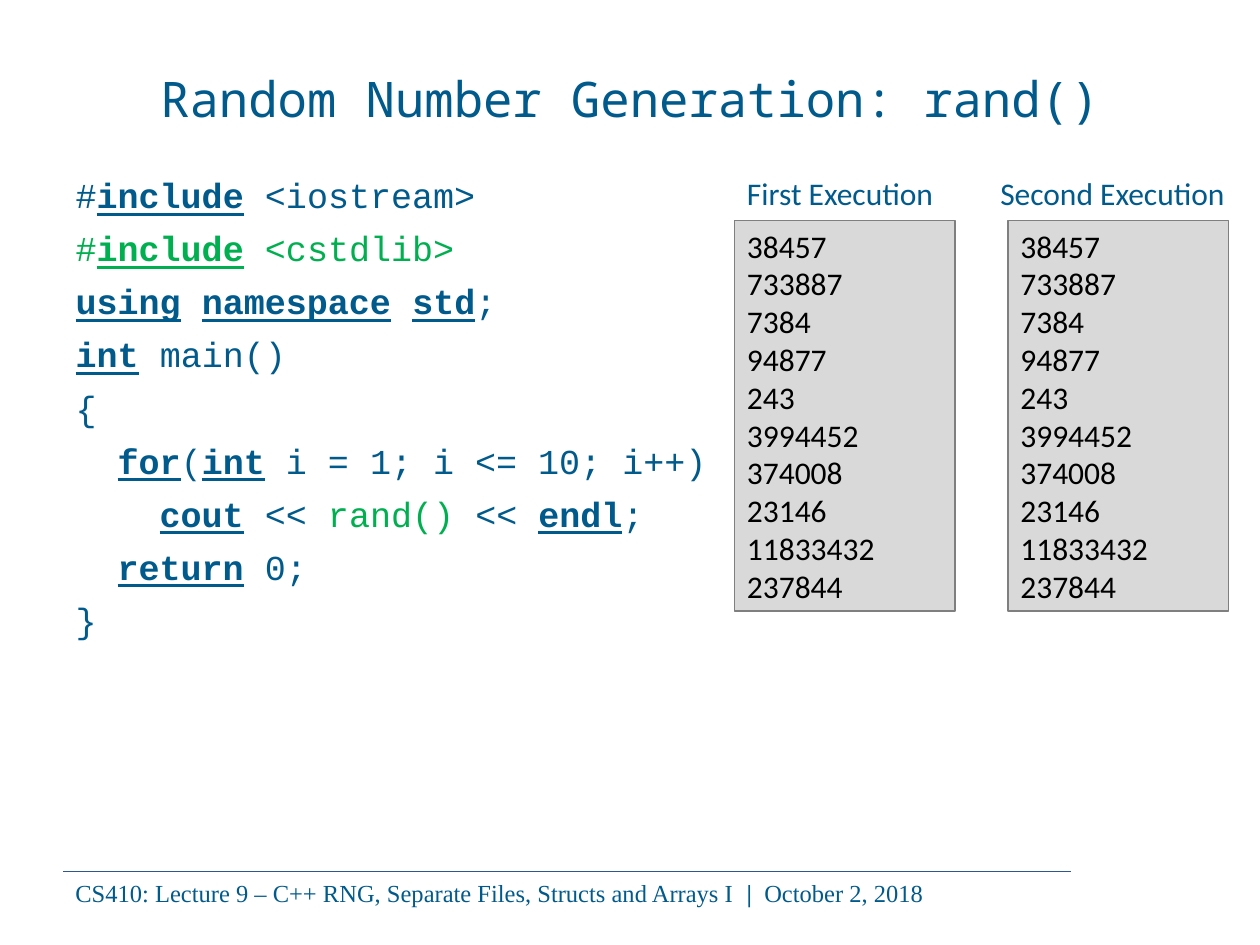
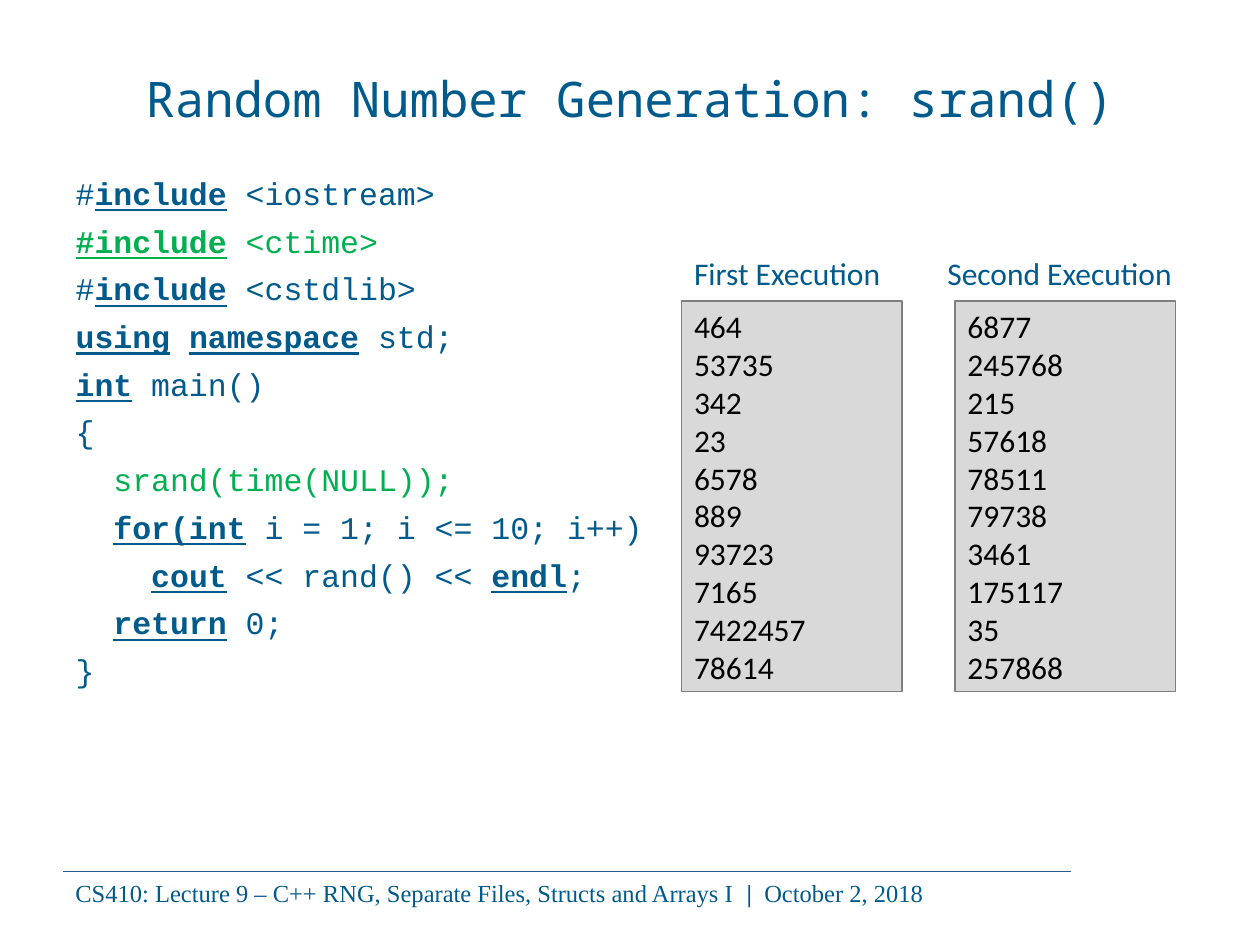
from lxml.etree import SubElement
from pptx import Presentation
from pptx.dml.color import RGBColor
from pptx.enum.shapes import MSO_CONNECTOR as Connector, MSO_SHAPE as Shape
from pptx.enum.text import MSO_ANCHOR as Anchor, MSO_AUTO_SIZE as AutoSize, PP_ALIGN as Align
from pptx.oxml.ns import qn
from pptx.util import Inches, Pt

BLUE, GREEN, BLACK = "005A8B", "00B050", "000000"
RULE_BLUE, PANEL_GREY, BORDER_GREY = "2D588D", "D9D9D9", "7F7F7F"
TITLE_FONT, CODE_FONT = "Noto Sans Mono", "Courier New"
FOOTER_FONT, OUTPUT_FONT = "Times New Roman", "Calibri"
PANEL_PITCH = 2.17
HANGING = Inches(0.38)

# In code, *...* marks keywords and ~...~ marks newly introduced parts.
RAND_CODE = """\
#*include* <iostream>
~#*include* <cstdlib>~
*using* *namespace* *std*;
*int* main()
{
  *for*(*int* i = 1; i <= 10; i++)
    *cout* << ~rand()~ << *endl*;
  *return* 0;
}"""
SRAND_CODE = """\
#*include* <iostream>
~*#include* <ctime>~
#*include* <cstdlib>
*using* *namespace* std;
*int* main()
{
  ~srand(time(NULL));~
  *for(int* i = 1; i <= 10; i++)
    *cout* << rand() << *endl*;
  *return* 0;
}"""
SAME_NUMBERS = "38457 733887 7384 94877 243 3994452 374008 23146 11833432 237844"
FIRST_NUMBERS = "464 53735 342 23 6578 889 93723 7165 7422457 78614"
SECOND_NUMBERS = "6877 245768 215 57618 78511 79738 3461 175117 35 257868"


def color(hex_text):
    return RGBColor.from_string(hex_text)


def add_text(para, text, font=OUTPUT_FONT, size=18, fill=BLUE, bold=False, underline=False):
    """Append text to a paragraph, with a line break at each newline."""
    for number, line in enumerate(text.split("\n")):
        if number:
            para.add_line_break()
        span = para.add_run()
        span.text = line
        span.font.name = font
        span.font.size = Pt(size)
        span.font.bold = bold
        span.font.underline = underline
        span.font.color.rgb = color(fill)


def place(box, left, top, width, height):
    box.left, box.top = Inches(left), Inches(top)
    box.width, box.height = Inches(width), Inches(height)


def marked_spans(line):
    """Yield the text, colour and keyword flag of each part of a code line."""
    keyword = False
    for part_number, part in enumerate(line.split("~")):
        fill = GREEN if part_number % 2 else BLUE
        for piece_number, piece in enumerate(part.split("*")):
            keyword = piece_number % 2 == 1
            if piece:
                yield piece, fill, keyword


class LectureDeck:
    def __init__(self):
        self.deck = Presentation()
        self.deck.slide_width, self.deck.slide_height = Inches(10), Inches(7.5)
        self.page = None

    def add_page(self, title):
        self.page = self.deck.slides.add_slide(self.deck.slide_layouts[1])
        self.add_footer()
        box = self.page.shapes.title
        place(box, 0.5, 0.3, 9, 0.95)
        frame = box.text_frame
        frame.auto_size = AutoSize.NONE
        frame.vertical_anchor = Anchor.MIDDLE
        para = frame.paragraphs[0]
        para.alignment = Align.CENTER
        add_text(para, title, font=TITLE_FONT, size=28)

    def add_footer(self):
        rule = self.page.shapes.add_connector(
            Connector.STRAIGHT, Inches(0.5), Inches(6.92), Inches(8.5), Inches(6.92))
        rule.line.color.rgb = color(RULE_BLUE)
        rule.line.width = Pt(0.5)
        SubElement(rule.element.spPr, qn("a:effectLst"))
        para = self.add_label(0.5, 6.92, 8.17, 0.34, wrap=True)
        style = {"font": FOOTER_FONT, "size": 14}
        add_text(para, "CS410: Lecture 9 – C++ RNG, Separate Files, Structs and Arrays I  ", **style)
        add_text(para, "|  ", bold=True, **style)
        add_text(para, "October 2, 2018", **style)

    def add_label(self, left, top, width, height, wrap=False):
        """Add a text box and return its empty paragraph."""
        box = self.page.shapes.add_textbox(
            Inches(left), Inches(top), Inches(width), Inches(height))
        box.text_frame.word_wrap = wrap
        box.text_frame.auto_size = AutoSize.SHAPE_TO_FIT_TEXT
        return box.text_frame.paragraphs[0]

    def add_code(self, code, size, height):
        box = self.page.placeholders[1]
        place(box, 0.5, 1.33, 8.58, height)
        frame = box.text_frame
        frame.auto_size = AutoSize.NONE
        lines = code.split("\n")
        for number, line in enumerate(lines):
            para = frame.add_paragraph() if number else frame.paragraphs[0]
            para.space_before = Pt(size * 0.315)
            for text, fill, keyword in marked_spans(line.lstrip()):
                add_text(para, text, font=CODE_FONT, size=size, fill=fill,
                         bold=keyword, underline=keyword)
        character_width = Pt(size * 0.6)
        for line, properties in zip(lines, box.element.iter(qn("a:pPr"))):
            depth = len(line) - len(line.lstrip())
            properties.set("marL", str(HANGING + depth * character_width))
            properties.set("indent", str(-HANGING))
            SubElement(properties, qn("a:buNone"))

    def add_output(self, left, top, numbers):
        panel = self.page.shapes.add_shape(
            Shape.RECTANGLE, Inches(left), Inches(top), Inches(1.75), Inches(3.1))
        panel.shadow.inherit = False
        panel.fill.solid()
        panel.fill.fore_color.rgb = color(PANEL_GREY)
        panel.line.color.rgb = color(BORDER_GREY)
        panel.line.width = Pt(0.75)
        frame = panel.text_frame
        frame.word_wrap = True
        frame.auto_size = AutoSize.SHAPE_TO_FIT_TEXT
        frame.vertical_anchor = Anchor.TOP
        para = frame.paragraphs[0]
        para.alignment = Align.LEFT
        add_text(para, numbers.replace(" ", "\n"), fill=BLACK)

    def add_executions(self, left, top, first, second):
        """Add two captioned output panels side by side."""
        captions = (("First Execution", 0, 1.69, first),
                    ("Second Execution", -0.16, 1.99, second))
        for column, (caption, shift, width, numbers) in enumerate(captions):
            panel_left = left + column * PANEL_PITCH
            self.add_output(panel_left, top, numbers)
            add_text(self.add_label(panel_left + shift, top - 0.42, width, 0.4), caption)


def main():
    lecture = LectureDeck()

    lecture.add_page("Random Number Generation: rand()")
    lecture.add_code(RAND_CODE, size=20, height=5.38)
    lecture.add_executions(5.83, 1.75, SAME_NUMBERS, SAME_NUMBERS)

    lecture.add_page("Random Number Generation: srand()")
    lecture.add_code(SRAND_CODE, size=18, height=5.42)
    lecture.add_executions(5.41, 2.39, FIRST_NUMBERS, SECOND_NUMBERS)

    lecture.deck.save("out.pptx")


if __name__ == "__main__":
    main()
